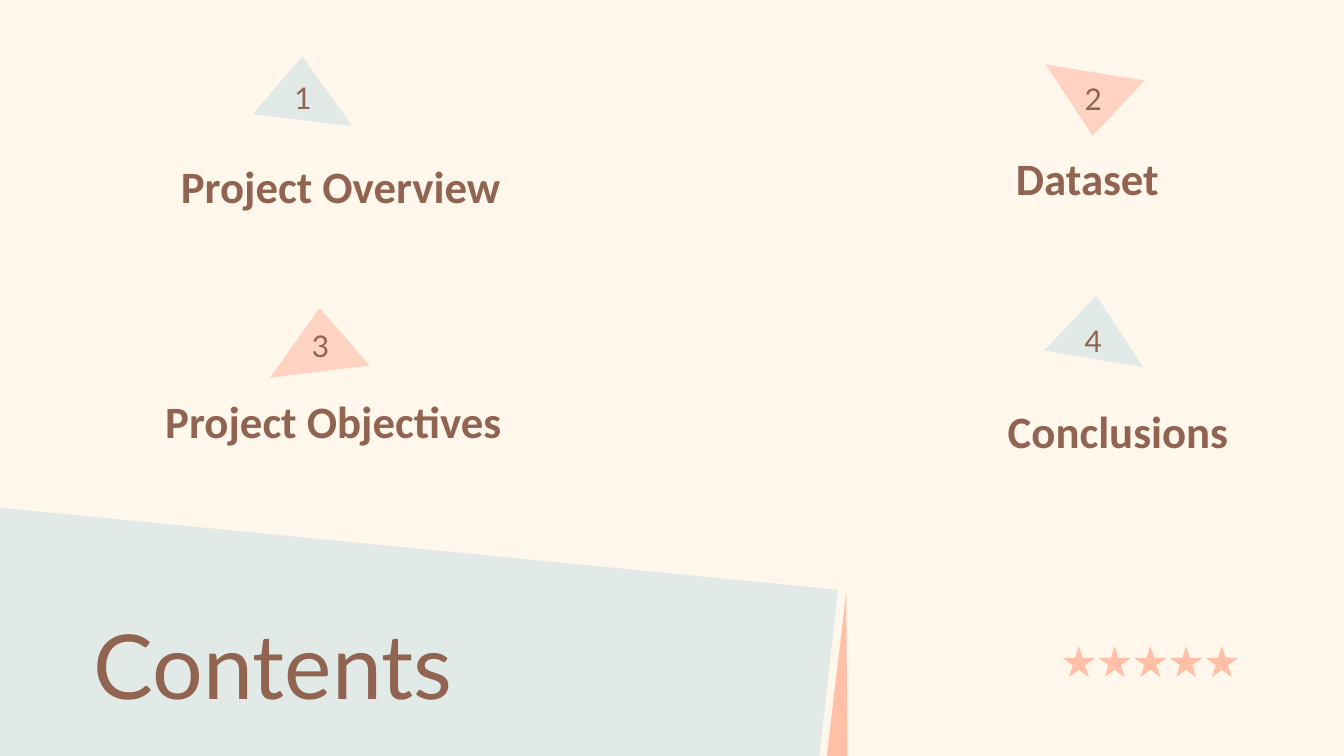
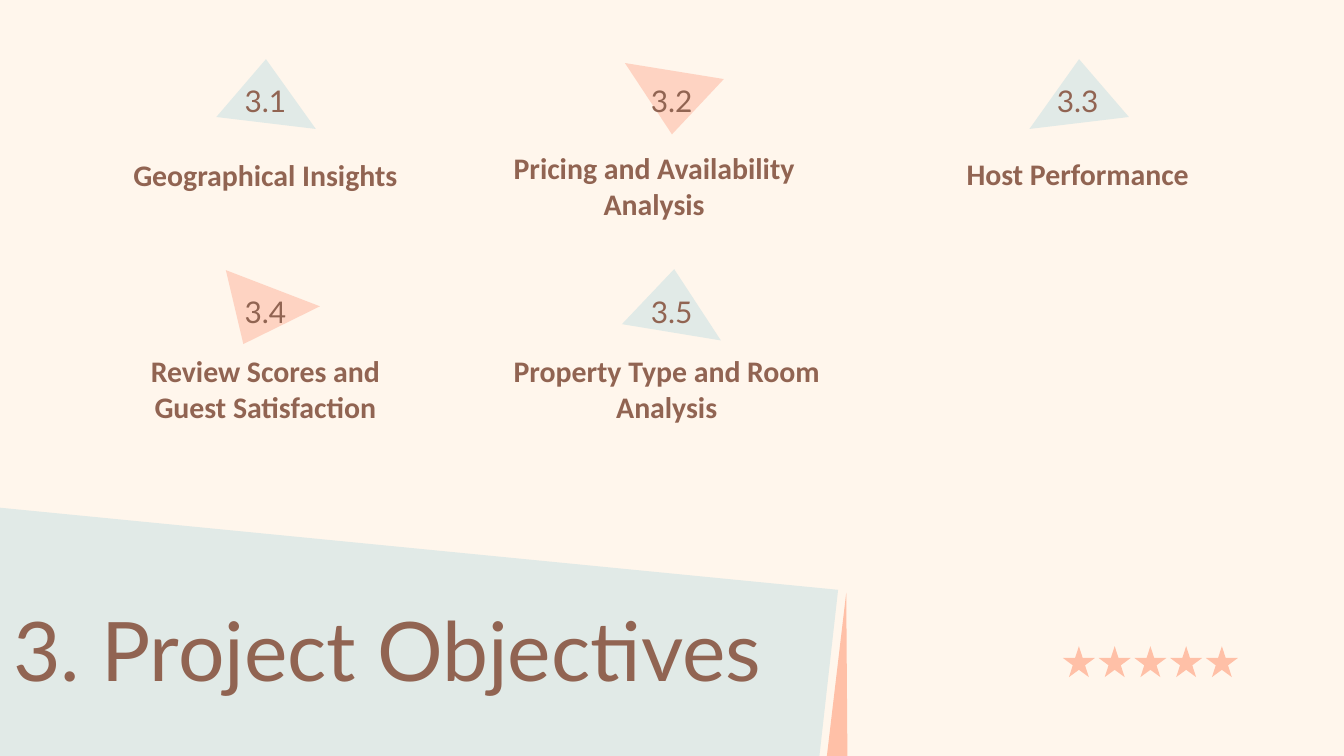
from dataclasses import dataclass

from pptx import Presentation
from pptx.dml.color import RGBColor
from pptx.enum.shapes import MSO_SHAPE
from pptx.enum.text import MSO_ANCHOR, PP_ALIGN
from pptx.util import Pt

STAR = MSO_SHAPE.STAR_5_POINT
TOP, MIDDLE = MSO_ANCHOR.TOP, MSO_ANCHOR.MIDDLE
LEFT, CENTER = PP_ALIGN.LEFT, PP_ALIGN.CENTER

CREAM = RGBColor(0xFF, 0xF6, 0xEC)
MIST = RGBColor(0xE1, 0xEA, 0xE7)
CORAL = RGBColor(0xFF, 0xC0, 0xA7)
PEACH = RGBColor(0xFE, 0xD3, 0xC2)
BROWN = RGBColor(0x91, 0x64, 0x52)

HEADING_FONT, LABEL_FONT = "Lato", "Calibri"
SLIDE_SIZE = (720, 405)
NUMBER_SIZE = (62.6, 22.3)
INSET = 7.2

TILT_RIGHT = [(0, 31), (26.6, 0), (53.3, 37.4)]
TILT_LEFT = [(53.3, 31), (26.6, 0), (0, 37.4)]
STEEP = [(0, 29.5), (28, 0), (53, 38.2)]
POINT_DOWN = [(53, 8.6), (25.2, 38.2), (0, 0)]
POINT_RIGHT = [(0, 0), (9.4, 39.6), (50.4, 19.4)]


@dataclass
class Topic:
    number: str
    label: str
    at: tuple
    outline: list
    color: RGBColor
    triangle_offset: tuple
    label_offset: tuple
    label_size: tuple
    label_right_inset: float = INSET


def paint(shape, color):
    shape.fill.solid()
    shape.fill.fore_color.rgb = color
    shape.line.fill.background()
    shape.shadow.inherit = False


def add_polygon(slide, left, top, outline, color):
    points = [(Pt(left + x), Pt(top + y)) for x, y in outline]
    builder = slide.shapes.build_freeform(*points[0], scale=1.0)
    builder.add_line_segments(points[1:], close=True)
    paint(builder.convert_to_shape(), color)


def add_text(slide, box, text, font, size, bold=False, align=CENTER,
             anchor=MIDDLE, right_inset=INSET):
    frame = slide.shapes.add_textbox(*map(Pt, box)).text_frame
    frame.word_wrap = True
    frame.vertical_anchor = anchor
    frame.margin_left = frame.margin_top = frame.margin_bottom = Pt(INSET)
    frame.margin_right = Pt(right_inset)
    frame.text = text
    paragraph = frame.paragraphs[0]
    paragraph.alignment = align
    run_font = paragraph.runs[0].font
    run_font.name = font
    run_font.size = Pt(size)
    run_font.bold = bold
    run_font.color.rgb = BROWN


def add_band(slide, left, top):
    add_polygon(slide, left, top, [(0, 0), (449, 44), (439, 133), (0, 133)], MIST)
    add_polygon(slide, left, top, [(453.4, 45.5), (454, 133), (443, 133)], CORAL)


def add_rating(slide, left, top, count=5, pitch=19.15):
    for i in range(count):
        star = slide.shapes.add_shape(
            STAR, Pt(left + i * pitch), Pt(top), Pt(17.2), Pt(16.6))
        paint(star, CORAL)


def add_topic_triangle(slide, topic):
    left, top = topic.at
    dx, dy = topic.triangle_offset
    add_polygon(slide, left + dx, top + dy, topic.outline, topic.color)


def add_topic_text(slide, topic, label_points):
    left, top = topic.at
    dx, dy = topic.label_offset
    add_text(slide, (left + dx, top + dy, *topic.label_size), topic.label,
             LABEL_FONT, label_points, bold=True,
             right_inset=topic.label_right_inset)
    add_text(slide, (left, top, *NUMBER_SIZE), topic.number, HEADING_FONT, 16)


def add_topics_slide(prs, title, title_box, title_points, topics, label_points):
    slide = prs.slides.add_slide(prs.slide_layouts[6])
    slide.background.fill.solid()
    slide.background.fill.fore_color.rgb = CREAM
    add_band(slide, 0, 272)
    add_rating(slide, 569.4, 346.2)
    for topic in topics:
        add_topic_triangle(slide, topic)
    add_text(slide, title_box, title, HEADING_FONT, title_points,
             align=LEFT, anchor=TOP)
    for topic in topics:
        add_topic_text(slide, topic, label_points)


CONTENTS = [
    Topic("1", "Project Overview", (131, 41), TILT_RIGHT, MIST,
          (4.4, -10.8), (-64.8, 32.4), (232.6, 52.6)),
    Topic("2", "Dataset", (554.4, 41.8), POINT_DOWN, PEACH,
          (5.8, -7.2), (-62.6, 30.9), (181.4, 45.4)),
    Topic("3", "Project Objectives", (140.4, 174.2), TILT_LEFT, PEACH,
          (4.3, -9.3), (-80.6, 28.1), (237.6, 46.1)),
    Topic("4", "Conclusions", (554.4, 171.4), STEEP, MIST,
          (5, -13), (-57.6, 25.2), (198.7, 67.7), 1.5),
]

COLUMNS = [110.9 + 217.6 * i for i in range(3)]
ROWS = [42.5, 155.5]
OBJECTIVES = [
    Topic("3.1", "Geographical Insights", (COLUMNS[0], ROWS[0]), TILT_RIGHT, MIST,
          (5, -10.8), (-54.7, 31), (172, 40.3)),
    Topic("3.2", "Pricing and Availability Analysis", (COLUMNS[1], ROWS[0]),
          POINT_DOWN, PEACH, (6.3, -8.7), (-79.2, 31), (202.3, 51.8)),
    Topic("3.3", "Host Performance", (COLUMNS[2], ROWS[0]), TILT_LEFT, MIST,
          (5.4, -10.8), (-54.7, 31), (172, 38.9)),
    Topic("3.4", "Review Scores and Guest Satisfaction", (COLUMNS[0], ROWS[1]),
          POINT_RIGHT, PEACH, (10.1, -10.8), (-54.7, 30.3), (172, 44.6)),
    Topic("3.5", "Property Type and Room Analysis", (COLUMNS[1], ROWS[1]),
          STEEP, MIST, (4.7, -11.3), (-79.2, 30.3), (210.2, 44.6), 1.5),
]


def main():
    prs = Presentation()
    prs.slide_width, prs.slide_height = map(Pt, SLIDE_SIZE)
    add_topics_slide(prs, "Contents", (43.2, 319.7, 620.6, 85), 48, CONTENTS, 24)
    add_topics_slide(prs, "3. Project Objectives", (0, 313.9, 663.8, 70.6), 44,
                     OBJECTIVES, 16)
    prs.save("out.pptx")


if __name__ == "__main__":
    main()
